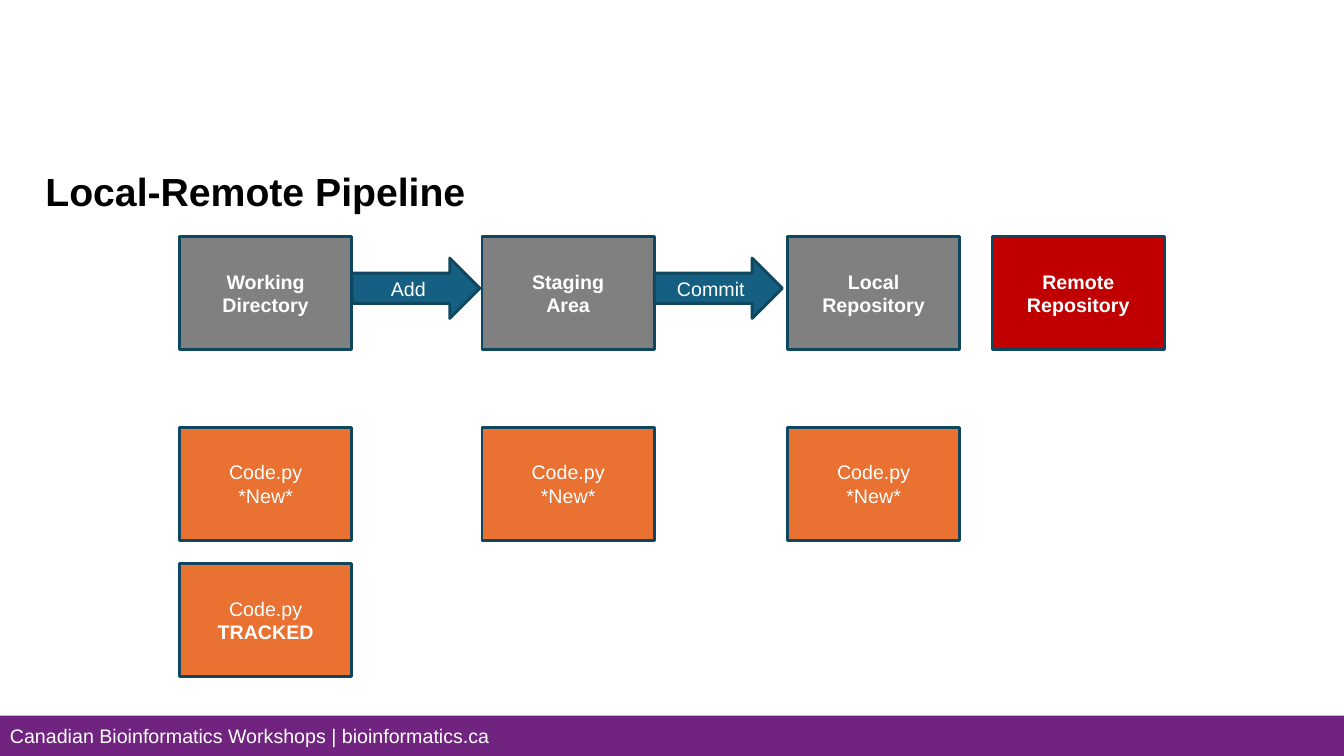
from pptx import Presentation
from pptx.dml.color import RGBColor
from pptx.enum.shapes import MSO_SHAPE
from pptx.enum.text import MSO_ANCHOR, MSO_AUTO_SIZE, PP_ALIGN
from pptx.util import Inches, Pt

RECTANGLE = MSO_SHAPE.RECTANGLE
RIGHT_ARROW = MSO_SHAPE.RIGHT_ARROW
TOP = MSO_ANCHOR.TOP
MIDDLE = MSO_ANCHOR.MIDDLE
NO_AUTOFIT = MSO_AUTO_SIZE.NONE
LEFT = PP_ALIGN.LEFT
CENTER = PP_ALIGN.CENTER

FONT = "Arial"
WHITE = "FFFFFF"
BLACK = "000000"
PURPLE = "70247F"
GRAY = "808080"
RED = "C00000"
ORANGE = "E97132"
BLUE = "156082"
OUTLINE = "104760"

SLIDE_WIDTH, SLIDE_HEIGHT = 13.33, 7.5
BOX_WIDTH, BOX_HEIGHT = 1.71, 1.12
ARROW_WIDTH, ARROW_HEIGHT = 1.27, 0.6

STAGES = [
    (0, ["Working", "Directory"], GRAY, "Add"),
    (3, ["Staging", "Area"], GRAY, "Commit"),
    (6.03, ["Local Repository"], GRAY, None),
    (8.06, ["Remote Repository"], RED, None),
]
FILES = [
    (0, 0, "*New*", False),
    (3, 0, "*New*", False),
    (6.03, 0, "*New*", False),
    (0, 1.35, "TRACKED", True),
]


def color(value):
    return RGBColor.from_string(value)


def write_lines(text_frame, lines, size, text_color, alignment, bold_lines):
    text_frame.word_wrap = True
    text_frame.text = "\n".join(lines)
    for paragraph, bold in zip(text_frame.paragraphs, bold_lines):
        paragraph.alignment = alignment
        paragraph.font.name = FONT
        paragraph.font.size = Pt(size)
        paragraph.font.bold = bold
        paragraph.font.color.rgb = color(text_color)


def add_block(slide, kind, left, top, width, height, fill, lines, bold_lines):
    shape = slide.shapes.add_shape(
        kind, Inches(left), Inches(top), Inches(width), Inches(height)
    )
    shape.shadow.inherit = False
    shape.fill.solid()
    shape.fill.fore_color.rgb = color(fill)
    shape.line.color.rgb = color(OUTLINE)
    shape.line.width = Pt(2)
    shape.text_frame.vertical_anchor = MIDDLE
    write_lines(shape.text_frame, lines, 14, WHITE, CENTER, bold_lines)


def add_footer(slide, left, top, width, height):
    band = slide.shapes.add_shape(
        RECTANGLE, Inches(left), Inches(top), Inches(width), Inches(height)
    )
    band.shadow.inherit = False
    band.fill.solid()
    band.fill.fore_color.rgb = color(PURPLE)
    band.line.fill.background()
    label = slide.shapes.add_textbox(
        Inches(left), Inches(top + 0.03), Inches(5.26), Inches(0.34)
    )
    text = "Canadian Bioinformatics Workshops | bioinformatics.ca"
    write_lines(label.text_frame, [text], 14, WHITE, LEFT, [False])


def add_title(slide, left, top, width, height):
    title = slide.shapes.title
    title.left, title.top = Inches(left), Inches(top)
    title.width, title.height = Inches(width), Inches(height)
    title.text_frame.auto_size = NO_AUTOFIT
    title.text_frame.vertical_anchor = TOP
    write_lines(title.text_frame, ["Local-Remote Pipeline"], 28, BLACK, LEFT, [True])


def add_stages(slide, left, top):
    for offset, lines, fill, action in STAGES:
        add_block(slide, RECTANGLE, left + offset, top, BOX_WIDTH, BOX_HEIGHT,
                  fill, lines, [True] * len(lines))
        if action:
            add_block(slide, RIGHT_ARROW, left + offset + BOX_WIDTH, top + 0.21,
                      ARROW_WIDTH, ARROW_HEIGHT, BLUE, [action], [False])


def add_files(slide, left, top):
    for across, down, status, bold in FILES:
        add_block(slide, RECTANGLE, left + across, top + down, BOX_WIDTH, BOX_HEIGHT,
                  ORANGE, ["Code.py", status], [False, bold])


def main():
    presentation = Presentation()
    presentation.slide_width = Inches(SLIDE_WIDTH)
    presentation.slide_height = Inches(SLIDE_HEIGHT)
    slide = presentation.slides.add_slide(presentation.slide_layouts[5])
    add_footer(slide, 0, 7.1, SLIDE_WIDTH, 0.4)
    add_title(slide, 0.35, 1.61, 12.63, 0.6)
    add_stages(slide, 1.78, 2.35)
    add_files(slide, 1.78, 4.24)
    presentation.save("out.pptx")


if __name__ == "__main__":
    main()
